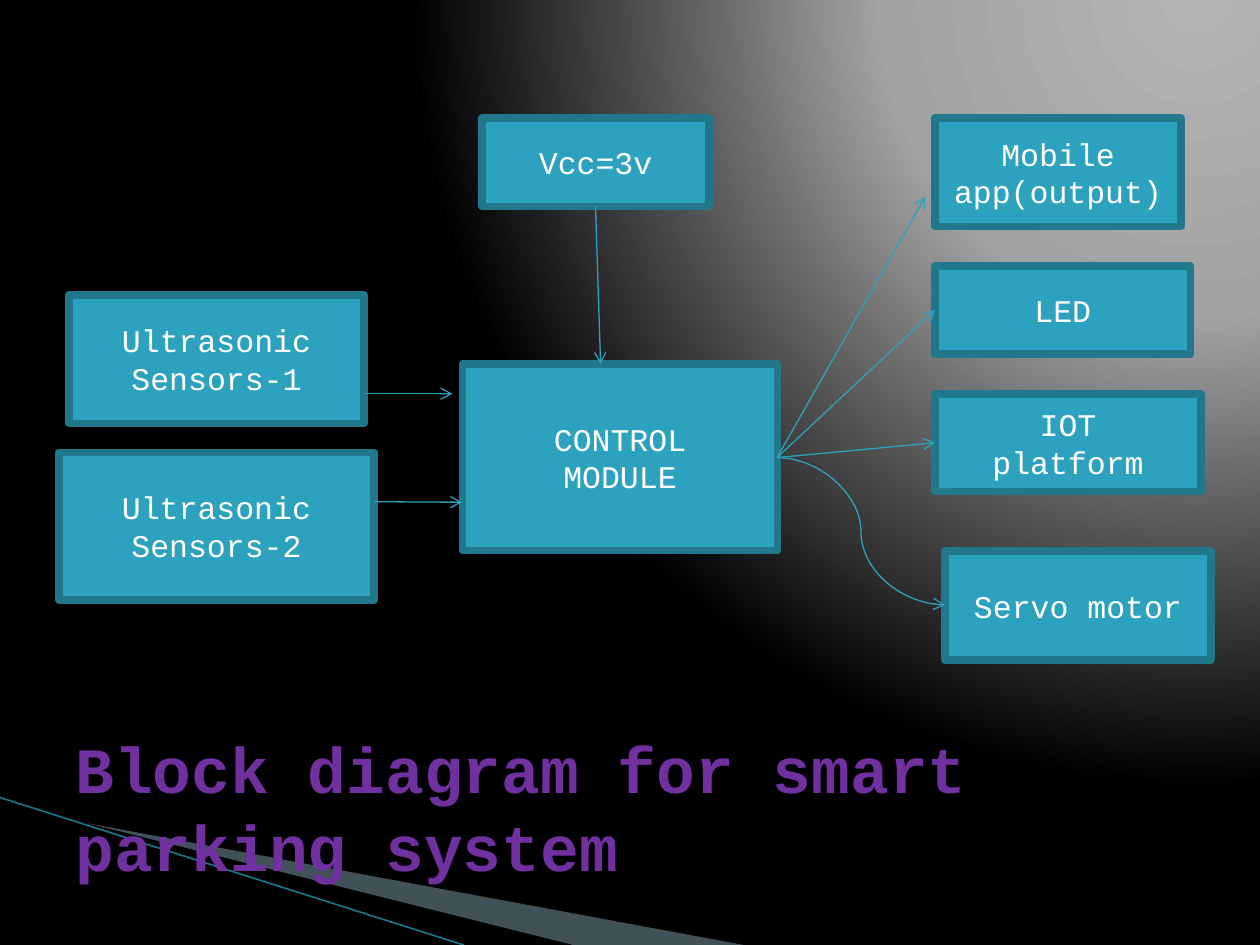
from dataclasses import dataclass

from lxml.etree import SubElement
from pptx import Presentation
from pptx.dml.color import RGBColor
from pptx.enum.shapes import MSO_CONNECTOR, MSO_SHAPE
from pptx.enum.text import MSO_ANCHOR, PP_ALIGN
from pptx.oxml.ns import qn
from pptx.slide import Slide
from pptx.text.text import TextFrame
from pptx.util import Pt

Point = tuple[float, float]


@dataclass(frozen=True)
class Theme:
    font: str = "Courier New"
    title_size: float = 36.9
    block_size: float = 18
    border_width: float = 4.33
    link_width: float = 0.75
    stripe_width: float = 0.95
    title: str = "7030A0"
    block: str = "2DA2BF"
    border: str = "21788D"
    label: str = "FFFFFF"
    wedge: str = "A0CBDC"
    shade: str = "000000"
    stripe: str = "1B7387"
    glow: tuple[tuple[int, str], ...] = ((0, "B4B4B4"), (40, "A2A2A2"), (100, "000000"))


THEME = Theme()


@dataclass(frozen=True)
class Block:
    lines: tuple[str, ...]
    left: float
    top: float
    width: float
    height: float


@dataclass(frozen=True)
class Link:
    start: Point
    end: Point
    kind: MSO_CONNECTOR = MSO_CONNECTOR.STRAIGHT


HUB_EXIT = (444, 261.5)

BLOCKS = (
    Block(("Ultrasonic", "Sensors-1"), 39.5, 168.5, 168.5, 73.5),
    Block(("Ultrasonic", "Sensors-2"), 33.7, 258.5, 180, 84.3),
    Block(("Vcc=3v",), 275.6, 67.5, 129.5, 50.5),
    Block(("CONTROL", "MODULE"), 264.3, 208, 180, 106.7),
    Block(("Mobile app(output)",), 534.3, 67.5, 140.5, 62),
    Block(("LED",), 534.3, 152, 146, 50.5),
    Block(("IOT", "platform"), 534.3, 225, 152, 56),
    Block(("Servo motor",), 540, 315, 152, 62),
)

LINKS = (
    Link((208, 225), (258.5, 225)),
    Link((214, 286.7), (264, 287)),
    Link((340.3, 118), (343.2, 208)),
    Link(HUB_EXIT, (540, 345.7), MSO_CONNECTOR.CURVE),
    Link(HUB_EXIT, (534.3, 253)),
    Link(HUB_EXIT, (534.3, 177)),
    Link(HUB_EXIT, (528.7, 112.5)),
)


def color(value: str) -> RGBColor:
    return RGBColor.from_string(value)


def paint_background(page: Slide) -> None:
    page.background.fill.gradient()
    gradient = page.element.find(".//" + qn("a:gradFill"))
    for child in list(gradient):
        gradient.remove(child)
    stops = SubElement(gradient, qn("a:gsLst"))
    for position, value in THEME.glow:
        stop = SubElement(stops, qn("a:gs"), pos=str(position * 1000))
        SubElement(stop, qn("a:srgbClr"), val=value)
    circle = SubElement(gradient, qn("a:path"), path="circle")
    SubElement(circle, qn("a:fillToRect"), l="95000", t="-106000", r="5000", b="206000")


def add_wedge(page: Slide, corners: tuple[Point, ...], value: str, opacity: int = 100) -> None:
    points = [(Pt(x), Pt(y)) for x, y in corners]
    builder = page.shapes.build_freeform(*points[0])
    builder.add_line_segments(points[1:], close=True)
    wedge = builder.convert_to_shape()
    wedge.shadow.inherit = False
    wedge.fill.solid()
    wedge.fill.fore_color.rgb = color(value)
    wedge.line.fill.background()
    if opacity < 100:
        tint = wedge.fill._xPr.find(".//" + qn("a:srgbClr"))
        SubElement(tint, qn("a:alpha"), val=str(opacity * 1000))


def add_link(page: Slide, link: Link, value: str, width: float, arrow: bool = True) -> None:
    ends = [Pt(length) for length in (*link.start, *link.end)]
    connector = page.shapes.add_connector(link.kind, *ends)
    connector.line.color.rgb = color(value)
    connector.line.width = Pt(width)
    if arrow:
        SubElement(connector.line._get_or_add_ln(), qn("a:tailEnd"), type="arrow")
    SubElement(connector._element.spPr, qn("a:effectLst"))


def write_lines(frame: TextFrame, lines: tuple[str, ...], size: float, value: str,
                align: PP_ALIGN, bold: bool = False) -> None:
    frame.word_wrap = True
    frame.vertical_anchor = MSO_ANCHOR.MIDDLE
    for index, line in enumerate(lines):
        para = frame.add_paragraph() if index else frame.paragraphs[0]
        para.alignment = align
        span = para.add_run()
        span.text = line
        span.font.name = THEME.font
        span.font.size = Pt(size)
        span.font.bold = bold
        span.font.color.rgb = color(value)


def add_block(page: Slide, block: Block) -> None:
    bounds = [Pt(length) for length in (block.left, block.top, block.width, block.height)]
    box = page.shapes.add_shape(MSO_SHAPE.RECTANGLE, *bounds)
    box.shadow.inherit = False
    box.fill.solid()
    box.fill.fore_color.rgb = color(THEME.block)
    box.line.color.rgb = color(THEME.border)
    box.line.width = Pt(THEME.border_width)
    write_lines(box.text_frame, block.lines, THEME.block_size, THEME.label, PP_ALIGN.CENTER)


def add_title(page: Slide, text: str) -> None:
    box = page.shapes.add_textbox(Pt(36), Pt(416), Pt(648), Pt(90))
    write_lines(box.text_frame, (text,), THEME.title_size, THEME.title, PP_ALIGN.LEFT, bold=True)


def main() -> None:
    deck = Presentation()
    deck.slide_width, deck.slide_height = Pt(720), Pt(540)
    page = deck.slides.add_slide(deck.slide_layouts[6])
    paint_background(page)
    add_wedge(page, ((39.5, 468.5), (425, 540), (327, 540)), THEME.wedge, opacity=40)
    add_wedge(page, ((38, 467.5), (327, 540), (268, 540)), THEME.shade)
    add_link(page, Link((0, 455.75), (265, 540)), THEME.stripe, THEME.stripe_width, arrow=False)
    add_title(page, "Block diagram for smart parking system")
    for block in BLOCKS:
        add_block(page, block)
    for link in LINKS:
        add_link(page, link, THEME.block, THEME.link_width)
    deck.save("out.pptx")


if __name__ == "__main__":
    main()
